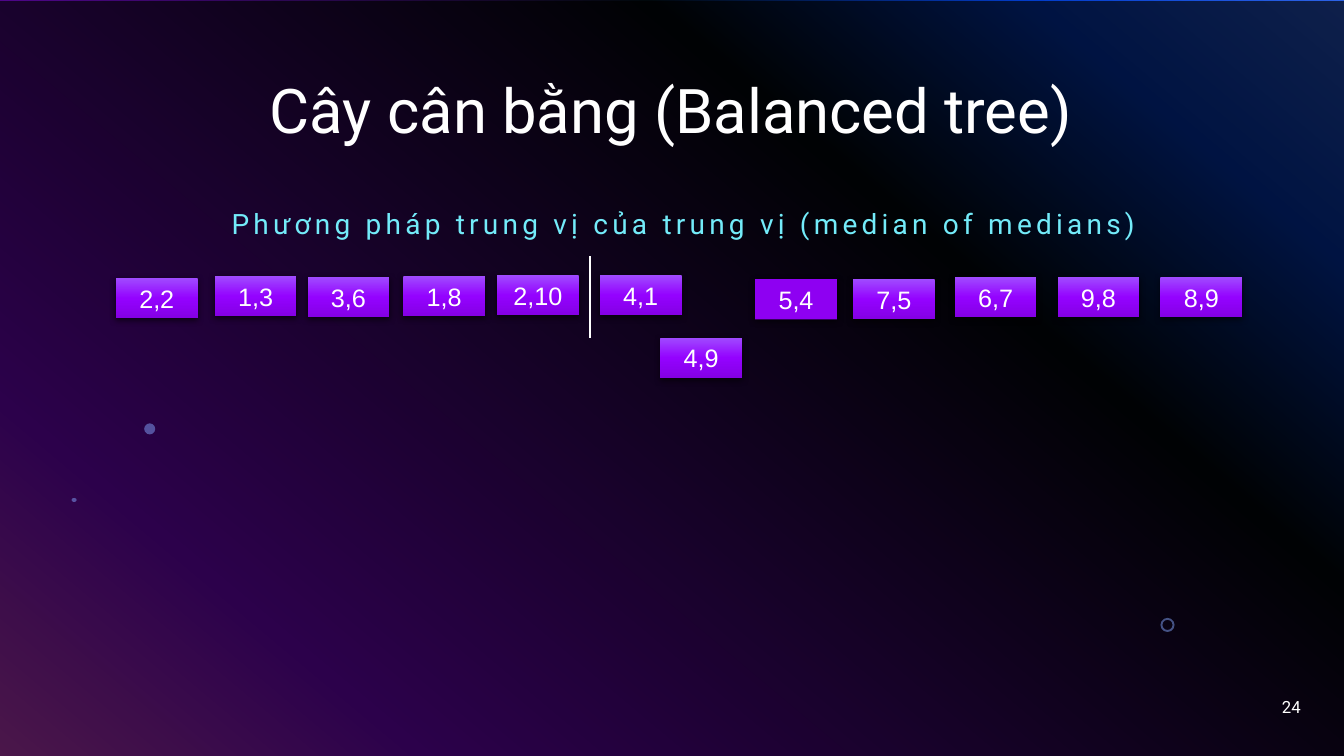
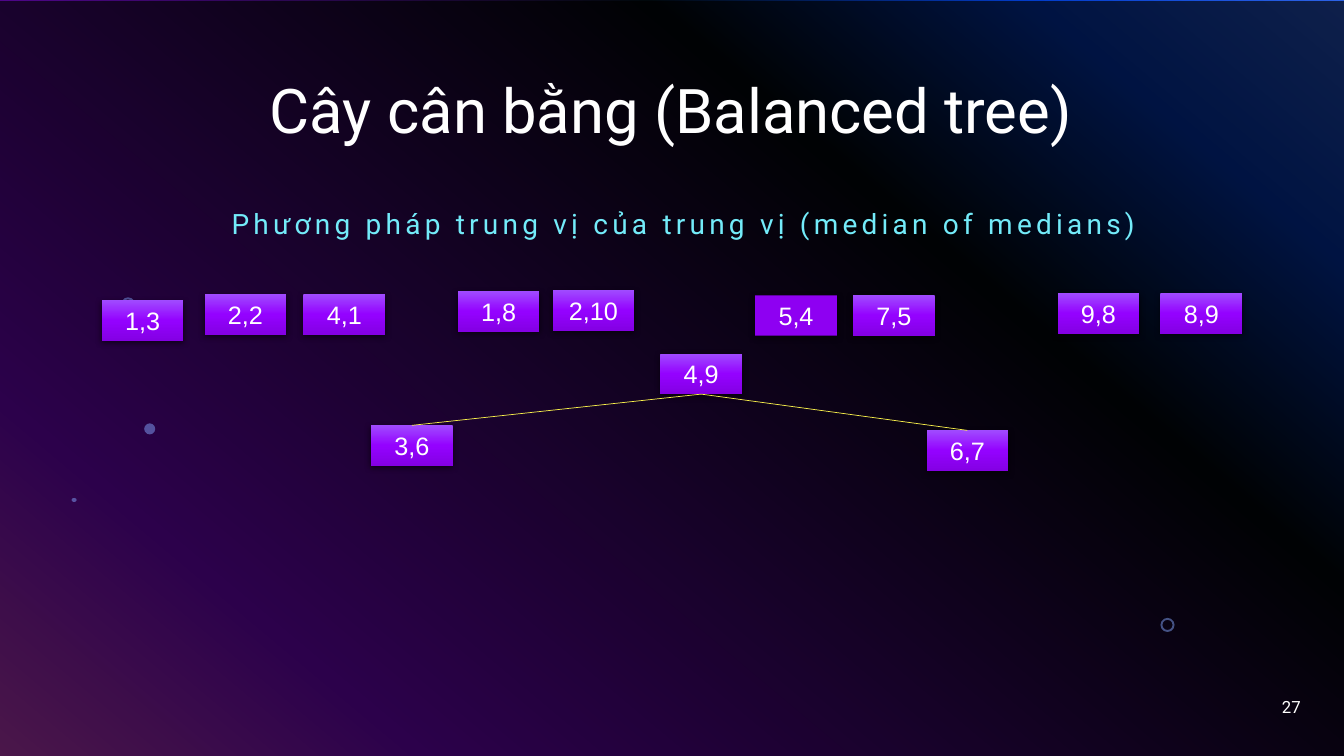
from lxml import etree
from pptx import Presentation
from pptx.dml.color import RGBColor
from pptx.enum.shapes import MSO_CONNECTOR, MSO_SHAPE
from pptx.enum.text import MSO_ANCHOR, MSO_AUTO_SIZE, PP_ALIGN
from pptx.oxml.ns import qn
from pptx.util import Inches, Pt

RECT, OVAL, RING = MSO_SHAPE.RECTANGLE, MSO_SHAPE.OVAL, MSO_SHAPE.DONUT
LINE = MSO_CONNECTOR.STRAIGHT
MID, TOP = MSO_ANCHOR.MIDDLE, MSO_ANCHOR.TOP
LEFT, CENTER, RIGHT = PP_ALIGN.LEFT, PP_ALIGN.CENTER, PP_ALIGN.RIGHT
GROW = MSO_AUTO_SIZE.SHAPE_TO_FIT_TEXT

WHITE, BLACK, CYAN, YELLOW = "FFFFFF", "000000", "73EBF9", "FAF24C"
FLAT, STAR = "8E00F2", "83A7FD"
SKY = [(0, "316CFC"), (14, "0343DF"), (31, "02090E"),
       (81, "9405FC"), (100, "FC4EFB")]
GLOW = [(0, "A04BFF"), (50, "9402FF"), (100, "8400E4")]

TITLE = "Cây cân bằng (Balanced tree)"
LEAD = "Phương pháp trung vị của trung vị (median of medians)"
STARS = [
    (RING, 11.51, 6.13, 0.14, 0.14),
    (RING, 1.2, 2.95, 0.14, 0.14),
    (OVAL, 1.43, 4.2, 0.11, 0.11),
    (OVAL, 0.71, 4.94, 0.05, 0.04),
]
BOX_W, BOX_H = 0.81, 0.4
PLAIN = "5,4"

SLIDES = [
    {
        "page": "24",
        "boxes": [
            ("2,2", 1.15, 2.76), ("1,3", 2.13, 2.74), ("3,6", 3.05, 2.75),
            ("1,8", 4, 2.74), ("2,10", 4.93, 2.73), ("4,1", 5.95, 2.73),
            ("4,9", 6.55, 3.35), ("5,4", 7.49, 2.77), ("7,5", 8.46, 2.77),
            ("6,7", 9.47, 2.75), ("9,8", 10.49, 2.75), ("8,9", 11.51, 2.75),
        ],
        "rules": [(5.85, 2.54, 5.85, 3.35)],
        "links": [],
    },
    {
        "page": "27",
        "boxes": [
            ("1,3", 1.01, 2.98), ("2,2", 2.03, 2.92), ("4,1", 3.01, 2.92),
            ("1,8", 4.54, 2.89), ("2,10", 5.48, 2.88), ("4,9", 6.55, 3.51),
            ("5,4", 7.49, 2.93), ("7,5", 8.46, 2.93), ("9,8", 10.49, 2.91),
            ("8,9", 11.51, 2.91), ("3,6", 3.68, 4.22), ("6,7", 9.19, 4.27),
        ],
        "rules": [],
        "links": [("4,9", "6,7"), ("4,9", "3,6")],
    },
]


def color(code):
    return RGBColor.from_string(code)


def node(root, tag, **attrs):
    item = etree.SubElement(root, qn(tag))
    for key, val in attrs.items():
        item.set(key, str(val))
    return item


def alpha(root, share):
    node(root, "a:alpha", val=share * 1000)


def blend(fill, root, stops, angle):
    fill.gradient()
    fill.gradient_angle = 360 - angle
    group = next(root.iter(qn("a:gsLst")))
    for old in list(group):
        group.remove(old)
    for pos, code in stops:
        stop = node(group, "a:gs", pos=pos * 1000)
        node(stop, "a:srgbClr", val=code)


def write(frame, text, size=18, font="Arial", ink=WHITE, align=LEFT,
          anchor=MID, lines=None, track=0):
    frame.word_wrap = True
    frame.vertical_anchor = anchor
    para = frame.paragraphs[0]
    para.alignment = align
    if lines:
        para.line_spacing = lines
    run = para.add_run()
    run.text = text
    run.font.size = Pt(size)
    run.font.name = font
    run.font.color.rgb = color(ink)
    if track:
        run.font._element.set("spc", str(track * 100))


def label(slide, area, text, **style):
    box = slide.shapes.add_textbox(*map(Inches, area))
    write(box.text_frame, text, font="Roboto", **style)


def shape(slide, kind, area, code, share=100):
    item = slide.shapes.add_shape(kind, *map(Inches, area))
    item.shadow.inherit = False
    item.line.fill.background()
    item.fill.solid()
    item.fill.fore_color.rgb = color(code)
    if share < 100:
        alpha(next(item._element.spPr.iter(qn("a:srgbClr"))), share)
    return item


def base(slide, page):
    blend(slide.background.fill, slide._element, SKY, 130)
    shape(slide, RECT, (0, 0.01, 13.33, 7.49), BLACK, 70)
    for kind, *area in STARS:
        star = shape(slide, kind, area, STAR, 49)
        if kind == RING:
            star.adjustments[0] = 0.14
    label(slide, (0.91, 0.4, 11.5, 1.45), TITLE,
          size=44, align=CENTER, lines=0.9)
    label(slide, (1.72, 1.96, 10.12, 0.56), LEAD,
          size=20, ink=CYAN, align=CENTER, lines=0.9, track=3)
    label(slide, (10, 6.81, 3, 0.4), page, size=12, align=RIGHT)


def point(slide, text, left, top):
    box = shape(slide, RECT, (left, top, BOX_W, BOX_H), FLAT)
    props = box._element.spPr
    if text != PLAIN:
        blend(box.fill, props, GLOW, 90)
    shade = node(props.find(qn("a:effectLst")), "a:outerShdw",
                 blurRad=Pt(4.5), dist=Pt(1.5), dir=5400000,
                 algn="ctr", rotWithShape=0)
    alpha(node(shade, "a:srgbClr", val=BLACK), 63)
    write(box.text_frame, text, align=CENTER, anchor=TOP)
    box.text_frame.auto_size = GROW
    return box


def rule(slide, ends, code, width):
    line = slide.shapes.add_connector(LINE, *map(Inches, ends))
    line.line.color.rgb = color(code)
    line.line.width = Pt(width)
    node(line._element.spPr, "a:effectLst")
    return line


def main():
    deck = Presentation()
    deck.slide_width, deck.slide_height = Inches(13.33), Inches(7.5)
    for data in SLIDES:
        slide = deck.slides.add_slide(deck.slide_layouts[6])
        base(slide, data["page"])
        boxes = {item[0]: point(slide, *item) for item in data["boxes"]}
        for ends in data["rules"]:
            rule(slide, ends, WHITE, 1.5)
        for root, child in data["links"]:
            link = rule(slide, (0, 0, 1, 1), YELLOW, 0.5)
            link.begin_connect(boxes[root], 2)
            link.end_connect(boxes[child], 0)
    deck.save("out.pptx")


if __name__ == "__main__":
    main()
